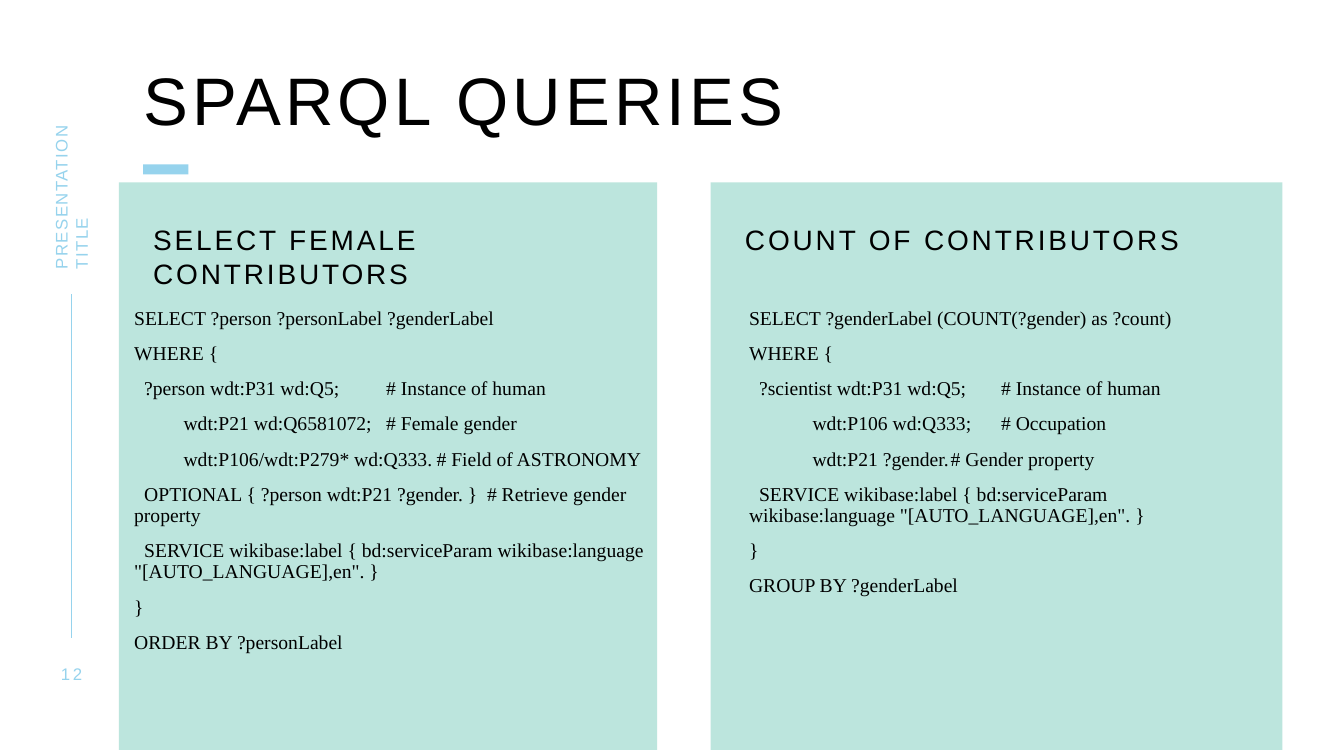
from dataclasses import dataclass
from typing import NamedTuple

from pptx import Presentation
from pptx import util as u
from pptx.dml.color import RGBColor
from pptx.enum import shapes, text
from pptx.oxml.ns import qn
from lxml import etree

SLIDE_WIDTH, SLIDE_HEIGHT = u.Inches(13.33), u.Inches(7.5)
SKY, MINT, BLACK = "96D3ED", "BCE5DD", "000000"


class Area(NamedTuple):
    """Left and width in hundredths of the slide's width, top and height of its height."""
    left: float
    top: float
    width: float
    height: float


@dataclass(frozen=True)
class Style:
    size: float
    color: str = BLACK
    font: str = "Arial"
    tracking: float = 0
    paragraph: tuple = ()


@dataclass(frozen=True)
class CodeLine:
    """Indent and comment position are inches from the left edge of the code."""
    code: str
    indent: float = 0
    comment: str = ""
    comment_at: float = 0


@dataclass(frozen=True)
class Query:
    heading: str
    panel: Area
    code_area: Area
    lines: tuple[CodeLine, ...]


TITLE = Style(48, tracking=3, paragraph=(("line_spacing", 0.9),))
HEADING = Style(20, tracking=2, paragraph=(
    ("line_spacing", u.Pt(24)), ("space_before", u.Pt(10))))
CODE = Style(14, font="Times New Roman", paragraph=(
    ("line_spacing", 0.9), ("space_before", u.Pt(10))))
NUMBER = Style(12, SKY, tracking=2, paragraph=(("alignment", text.PP_ALIGN.CENTER),))
FOOTER = Style(12, SKY, tracking=1)

PANEL_TOP, PANEL_HEIGHT, CODE_TOP = 24.13, 75.07, 40.8
LABEL_SERVICE = CodeLine(
    'SERVICE wikibase:label { bd:serviceParam wikibase:language "[AUTO_LANGUAGE],en". }', 0.1)

QUERIES = (
    Query("SELECT FEMALE CONTRIBUTORS",
          Area(8.85, PANEL_TOP, 40.05, PANEL_HEIGHT),
          Area(9.98, CODE_TOP, 38.18, 51.2), (
              CodeLine("SELECT ?person ?personLabel ?genderLabel"),
              CodeLine("WHERE {"),
              CodeLine("?person wdt:P31 wd:Q5;", 0.1, "# Instance of human", 2.96),
              CodeLine("wdt:P21 wd:Q6581072;", 0.49, "# Female gender", 2.98),
              CodeLine("wdt:P106/wdt:P279* wd:Q333.", 0.49, "# Field of ASTRONOMY", 3.19),
              CodeLine("OPTIONAL { ?person wdt:P21 ?gender. }", 0.1,
                       "# Retrieve gender property", 3.59),
              LABEL_SERVICE,
              CodeLine("}"),
              CodeLine("ORDER BY ?personLabel"))),
    Query("COUNT OF CONTRIBUTORS",
          Area(52.88, PANEL_TOP, 42.54, PANEL_HEIGHT),
          Area(55.73, CODE_TOP, 33.68, 48.8), (
              CodeLine("SELECT ?genderLabel (COUNT(?gender) as ?count)"),
              CodeLine("WHERE {"),
              CodeLine("?scientist wdt:P31 wd:Q5;", 0.1, "# Instance of human", 2.64),
              CodeLine("wdt:P106 wd:Q333;", 0.63, "# Occupation", 2.5),
              CodeLine("wdt:P21 ?gender.", 0.63, "# Gender property", 2.42),
              LABEL_SERVICE,
              CodeLine("}"),
              CodeLine("GROUP BY ?genderLabel"))),
)


def rgb(color: str) -> RGBColor:
    return RGBColor.from_string(color)


def across(share: float) -> int:
    return round(SLIDE_WIDTH * share / 100)


def down(share: float) -> int:
    return round(SLIDE_HEIGHT * share / 100)


def place(area: Area) -> tuple[int, int, int, int]:
    return across(area.left), down(area.top), across(area.width), down(area.height)


def set_frame(frame, anchor=text.MSO_ANCHOR.TOP, insets=(0, 0, 0, 0)) -> None:
    sides = ("margin_left", "margin_top", "margin_right", "margin_bottom")
    values = {"word_wrap": True, "auto_size": text.MSO_AUTO_SIZE.NONE,
              "vertical_anchor": anchor}
    values.update(zip(sides, map(u.Inches, insets)))
    for name, value in values.items():
        setattr(frame, name, value)


def write(paragraph, wording: str, style: Style) -> None:
    values = {"alignment": text.PP_ALIGN.LEFT, **dict(style.paragraph)}
    for name, value in values.items():
        setattr(paragraph, name, value)
    run = paragraph.add_run()
    run.text = wording
    for name, value in {"name": style.font, "size": u.Pt(style.size), "bold": False}.items():
        setattr(run.font, name, value)
    run.font.color.rgb = rgb(style.color)
    if style.tracking:
        run.font._element.set("spc", str(round(style.tracking * 100)))


def write_code(paragraph, line: CodeLine) -> None:
    """Indent only the first line and set a tab stop for the comment."""
    write(paragraph, f"{line.code}\t{line.comment}" if line.comment else line.code, CODE)
    properties = paragraph._p.get_or_add_pPr()
    properties.set("marL", "0")
    properties.set("indent", str(u.Inches(line.indent)))
    if line.comment:
        stops = etree.SubElement(properties, qn("a:tabLst"))
        etree.SubElement(stops, qn("a:tab"), pos=str(u.Inches(line.comment_at)), algn="l")


def add_block(slide, area: Area, color: str):
    block = slide.shapes.add_shape(shapes.MSO_SHAPE.RECTANGLE, *place(area))
    block.shadow.inherit = False
    block.fill.solid()
    block.fill.fore_color.rgb = rgb(color)
    block.line.fill.background()
    return block


def add_label(slide, area: Area, wording: str, style: Style, rotation: float = 0) -> None:
    label = slide.shapes.add_textbox(*place(area))
    label.rotation = rotation
    set_frame(label.text_frame, text.MSO_ANCHOR.MIDDLE)
    write(label.text_frame.paragraphs[0], wording, style)


def add_query(slide, query: Query) -> None:
    panel = add_block(slide, query.panel, MINT)
    set_frame(panel.text_frame, insets=(0.34, 0.4, 0.3, 0))
    write(panel.text_frame.paragraphs[0], query.heading, HEADING)
    listing = slide.shapes.add_textbox(*place(query.code_area)).text_frame
    set_frame(listing)
    for index, line in enumerate(query.lines):
        write_code(listing.add_paragraph() if index else listing.paragraphs[0], line)


def add_side_rule(slide) -> None:
    rule = slide.shapes.add_connector(shapes.MSO_CONNECTOR.STRAIGHT, across(5.33),
                                      down(38.93), across(5.33), down(84.4))
    rule.line.color.rgb = rgb(SKY)
    rule.line.width = u.Pt(1)
    etree.SubElement(rule._element.spPr, qn("a:effectLst"))


def add_title(slide, area: Area, wording: str) -> None:
    title = slide.shapes.title
    for name, value in zip(("left", "top", "width", "height"), place(area)):
        setattr(title, name, value)
    set_frame(title.text_frame)
    write(title.text_frame.paragraphs[0], wording, TITLE)


def main() -> None:
    deck = Presentation()
    deck.slide_width, deck.slide_height = SLIDE_WIDTH, SLIDE_HEIGHT
    slide = deck.slides.add_slide(deck.slide_layouts.get_by_name("Title Only"))
    add_side_rule(slide)
    add_block(slide, Area(10.65, 21.73, 3.38, 1.33), SKY)
    add_title(slide, Area(10.65, 8.93, 54.6, 7.73), "SPARQL QUERIES")
    for query in QUERIES:
        add_query(slide, query)
    add_label(slide, Area(3.45, 87.73, 3.75, 2.67), "12", NUMBER)
    add_label(slide, Area(-2.03, 21.2, 14.63, 2.8), "PRESENTATION TITLE", FOOTER, 270)
    deck.save("out.pptx")


if __name__ == "__main__":
    main()
